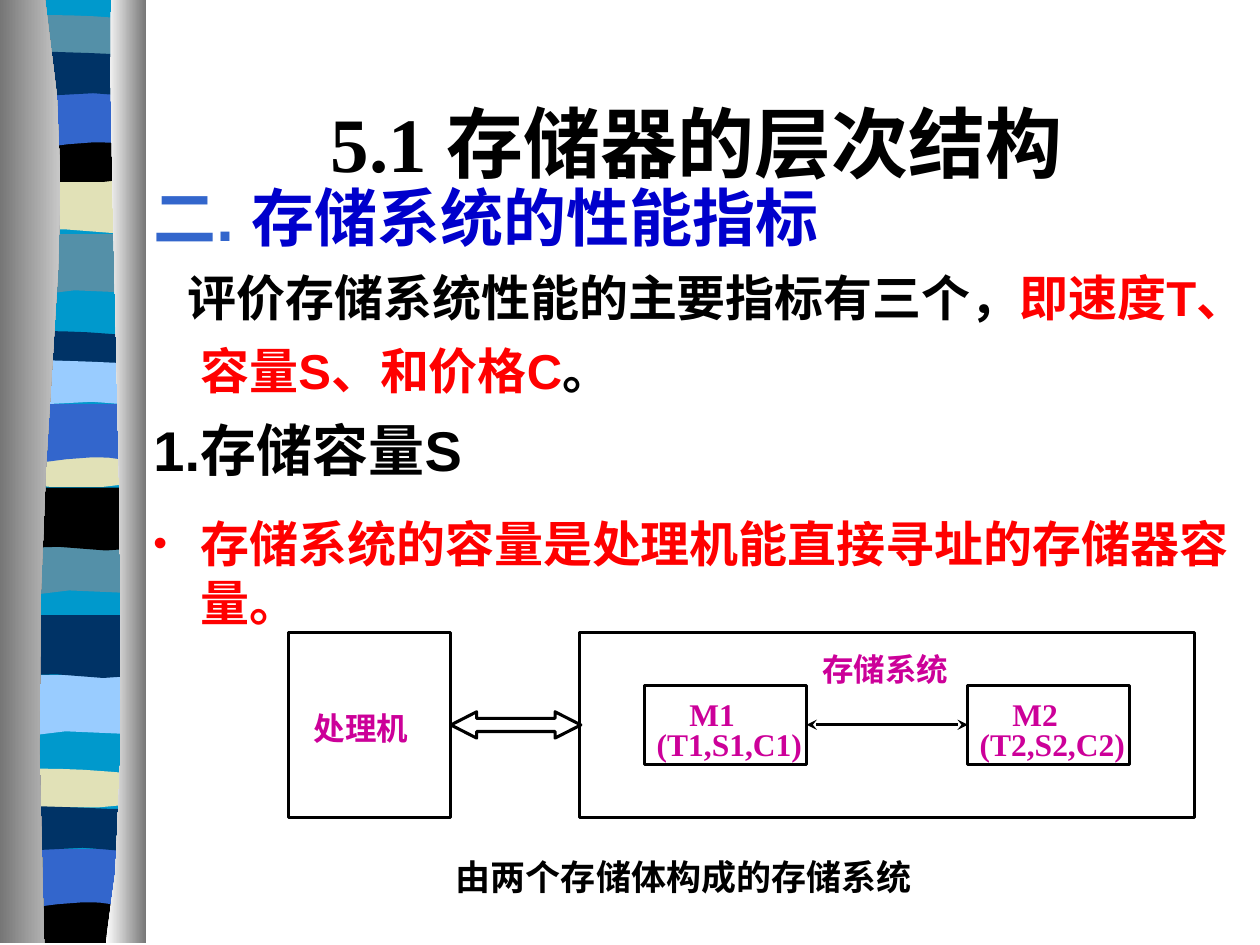
import pptx
import pptx.util
import pptx.dml.color
import pptx.enum.shapes
import pptx.enum.text
import pptx.oxml.ns
from lxml import etree

Cm = pptx.util.Cm
Pt = pptx.util.Pt
RGB = pptx.dml.color.RGBColor.from_string
SHAPE = pptx.enum.shapes.MSO_SHAPE
qn = pptx.oxml.ns.qn


class Theme:
    serif, sans = "Times New Roman", "Arial"
    black, white, red = "000000", "FFFFFF", "FF0000"
    heading_blue, label = "0000CC", "CC0099"
    ribbon, teal, cream, blue = "0099CC", "5490A8", "E1E1B7", "3366CC"
    navy, sky, steel, silver = "003366", "99CCFF", "767676", "C8C8C8"
    title_size, heading_size, item_size = 44, 36, 32
    body_size, caption_size, label_size = 28, 20, 18
    line_width = 1.75


def draw_outline(group, left, top, segments, steps):
    x, y = segments[0]
    points = []
    for segment in segments[1:]:
        if len(segment) == 2:
            points.append(segment)
        else:
            x1, y1, x2, y2, x3, y3 = segment
            for step in range(1, steps + 1):
                t = step / steps
                u = 1 - t
                points.append((
                    u**3 * x + 3 * u * u * t * x1 + 3 * u * t * t * x2 + t**3 * x3,
                    u**3 * y + 3 * u * u * t * y1 + 3 * u * t * t * y2 + t**3 * y3,
                ))
        x, y = segment[-2:]
    start_x, start_y = segments[0]
    builder = group.shapes.build_freeform(Cm(left + start_x), Cm(top + start_y), scale=1.0)
    builder.add_line_segments([(Cm(left + px), Cm(top + py)) for px, py in points], close=True)
    outline = builder.convert_to_shape()
    outline.shadow.inherit = False
    outline.line.fill.background()
    return outline


def add_run(paragraph, text, size, color, face):
    run = paragraph.add_run()
    run.text = text
    run.font.name = face
    run.font.size = Pt(size)
    run.font.bold = True
    run.font.color.rgb = RGB(color)


deck = pptx.Presentation()
deck.slide_width, deck.slide_height = Cm(25.4), Cm(19.05)
slide = deck.slides.add_slide(deck.slide_layouts[1])

title = slide.shapes.title
title.left, title.top, title.width, title.height = Cm(3.25), Cm(1.27), Cm(21.59), Cm(3.18)
title.text_frame.vertical_anchor = pptx.enum.text.MSO_ANCHOR.MIDDLE
title.text_frame.auto_size = pptx.enum.text.MSO_AUTO_SIZE.NONE
heading = title.text_frame.paragraphs[0]
heading.alignment = pptx.enum.text.PP_ALIGN.CENTER
add_run(heading, "5.1 存储器的层次结构", Theme.title_size, Theme.black, Theme.serif)

body = slide.placeholders[1]
body.left, body.top, body.width, body.height = Cm(2.84), Cm(3.77), Cm(22.55), Cm(9.25)
body.text_frame.auto_size = pptx.enum.text.MSO_AUTO_SIZE.NONE
points = [
    (0.8, 0, -0.95, False, Theme.heading_size,
     [("二. ", Theme.blue), ("存储系统的性能指标", Theme.heading_blue)]),
    (1.24, 0, -0.26, False, Theme.body_size,
     [("评价存储系统性能的主要指标有三个，", Theme.black),
      ("即速度T、容量S、和价格C", Theme.red), ("。", Theme.black)]),
    (1.24, 0, -0.95, False, Theme.item_size, [("1.存储容量S", Theme.black)]),
    (1.0, 17.5, -0.95, True, Theme.body_size,
     [("存储系统的容量是处理机能直接寻址的存储器容量。", Theme.red)]),
]
for index, (spacing, before, indent, bulleted, size, runs) in enumerate(points):
    point = body.text_frame.paragraphs[0] if index == 0 else body.text_frame.add_paragraph()
    point.line_spacing = spacing
    point.space_before = Pt(before)
    properties = point._p.get_or_add_pPr()
    properties.set("marL", str(Cm(0.95)))
    properties.set("indent", str(Cm(indent)))
    if bulleted:
        bullet_color = etree.SubElement(properties, qn("a:buClr"))
        etree.SubElement(bullet_color, qn("a:srgbClr"), val=Theme.red)
        etree.SubElement(properties, qn("a:buSzPct"), val="80000")
        etree.SubElement(properties, qn("a:buChar"), char="•")
    else:
        etree.SubElement(properties, qn("a:buNone"))
    for text, color in runs:
        add_run(point, text, size, color, Theme.sans)

column = slide.shapes.add_group_shape()
swell = [(2.52, 0), (2.52, 1.19), (0.79, 0.97, 0.43, 1.37, 0, 1.19), (0, 0)]
ripple = [(2.52, 0), (2.52, 1.22), (2.11, 1.4, 0.76, 1.07, 0, 1.22), (0, 0)]
crest = [(2.52, 0.13), (2.52, 0.74), (2.11, 0.84, 0.41, 0.84, 0, 0.74), (0, 0.13),
         (0.15, 0, 0.53, 0.03, 0.97, 0.03), (1.4, 0.03, 2.18, 0.1, 2.52, 0.13)]
bowl = [(2.52, 0), (2.52, 0.84), (2.1, 0.97, 0.43, 0.97, 0, 0.84), (0, 0),
        (1.57, 0.13, 2.01, 0, 2.52, 0)]
arch = [(2.52, 0), (2.52, 1.22), (2.13, 1.07, 1.96, 1.07, 1.57, 1.07),
        (1.14, 1.07, 0.41, 1.22, 0, 1.22), (0, 0)]
drape = [(2.52, 0.13), (2.52, 0.91), (2.36, 1.04, 1.96, 0.91, 1.57, 0.91),
         (1.14, 0.91, 0.28, 1.04, 0, 0.91), (0, 0.13),
         (0.38, 0, 1.73, 0.13, 2.16, 0.13)]
foot = [(2.52, 0), (2.52, 0.93), (0, 0.93), (0, 0), (1.57, 0.13, 2.01, 0, 2.52, 0)]
backing = [(0, 0), (2.52, 0), (2.52, 18.97), (0, 18.97)]
bands = [
    (backing, 0.33, 0, Theme.ribbon),
    (swell, 0.31, 4.72, Theme.teal), (ripple, 0.41, 3.43, Theme.cream),
    (crest, 0.41, 0.28, Theme.teal), (bowl, 0.31, 2.74, Theme.black),
    (arch, 0.31, 1.8, Theme.blue), (drape, 0.31, 0.97, Theme.navy),
    (swell, 0.2, 10.77, Theme.teal), (ripple, 0.28, 9.83, Theme.black),
    (crest, 0.28, 6.65, Theme.navy), (bowl, 0.28, 8.89, Theme.cream),
    (arch, 0.28, 8.15, Theme.blue), (drape, 0.28, 7.19, Theme.sky),
    (swell, 0.13, 13.61, Theme.sky), (ripple, 0.23, 12.4, Theme.navy),
    (crest, 0.2, 15.47, Theme.cream), (foot, 0.2, 18.08, Theme.black),
    (arch, 0.1, 17.12, Theme.blue), (drape, 0.1, 16.18, Theme.navy),
]
for profile, left, top, color in bands:
    band = draw_outline(column, left, top, profile, 3)
    band.fill.solid()
    band.fill.fore_color.rgb = RGB(color)

edges = [
    ([(0.91, 0), (1.8, 5.49, 0.43, 7.52, 0.89, 19.02), (0, 19.02), (0, 0)],
     (Theme.steel, Theme.silver)),
    ([(2.24, 0), (2.13, 3.18, 2.82, 16.41, 2.13, 19.02), (2.95, 19.02), (2.95, 0)],
     (Theme.white, Theme.steel)),
]
for profile, colors in edges:
    edge = draw_outline(column, 0, 0, profile, 8)
    edge.fill.gradient()
    edge.fill.gradient_angle = 0
    for stop, color in zip(edge.fill.gradient_stops, colors):
        stop.color.rgb = RGB(color)
deck.slide_master.shapes.element.insert(2, column.element)

diagram = slide.shapes.add_group_shape()
unit_step = 6.51
blocks = [
    (SHAPE.RECTANGLE, 11.68, 12.75, 12.4, 3.73),
    (SHAPE.RECTANGLE, 13, 13.82, 3.26, 1.6),
    (SHAPE.RECTANGLE, 13 + unit_step, 13.82, 3.26, 1.6),
    (SHAPE.RECTANGLE, 5.82, 12.75, 3.26, 3.73),
    (SHAPE.LEFT_RIGHT_ARROW, 9.09, 14.35, 2.62, 0.53),
]
for kind, left, top, width, height in blocks:
    block = diagram.shapes.add_shape(kind, Cm(left), Cm(top), Cm(width), Cm(height))
    block.shadow.inherit = False
    block.fill.solid()
    block.fill.fore_color.rgb = RGB(Theme.white)
    block.line.color.rgb = RGB(Theme.black)
    block.line.width = Pt(Theme.line_width)
    if kind == SHAPE.LEFT_RIGHT_ARROW:
        block.adjustments[0], block.adjustments[1] = 0.5, 0.98

exchange = diagram.shapes.add_connector(
    pptx.enum.shapes.MSO_CONNECTOR.STRAIGHT, Cm(16.26), Cm(14.61), Cm(13 + unit_step), Cm(14.61))
exchange.line.color.rgb = RGB(Theme.black)
exchange.line.width = Pt(Theme.line_width)
exchange_properties = exchange.element.spPr
for end in ("a:headEnd", "a:tailEnd"):
    etree.SubElement(exchange_properties.find(qn("a:ln")), qn(end), type="stealth")
etree.SubElement(exchange_properties, qn("a:effectLst"))

labels = [("处理机", 6.08, 13.72, 3.25), ("存储系统", 16.33, 12.52, 4.25)]
for number in (1, 2):
    shift = (number - 1) * unit_step
    labels.append((f"M{number}", 13.65 + shift, 13.43, 2.62))
    labels.append((f"(T{number},S{number},C{number})", 12.99 + shift, 14.03, 4.25))
for text, left, top, width in labels:
    label = diagram.shapes.add_textbox(Cm(left), Cm(top), Cm(width), Cm(1.6))
    label.text_frame.word_wrap = True
    label_line = label.text_frame.paragraphs[0]
    label_line.alignment = pptx.enum.text.PP_ALIGN.JUSTIFY
    label_line.line_spacing = 1.6
    add_run(label_line, text, Theme.label_size, Theme.label, Theme.serif)

caption = diagram.shapes.add_textbox(Cm(8.94), Cm(17.13), Cm(9.7), Cm(1.12))
caption.text_frame.word_wrap = False
add_run(caption.text_frame.paragraphs[0], "由两个存储体构成的存储系统",
        Theme.caption_size, Theme.black, Theme.serif)

deck.save("out.pptx")
